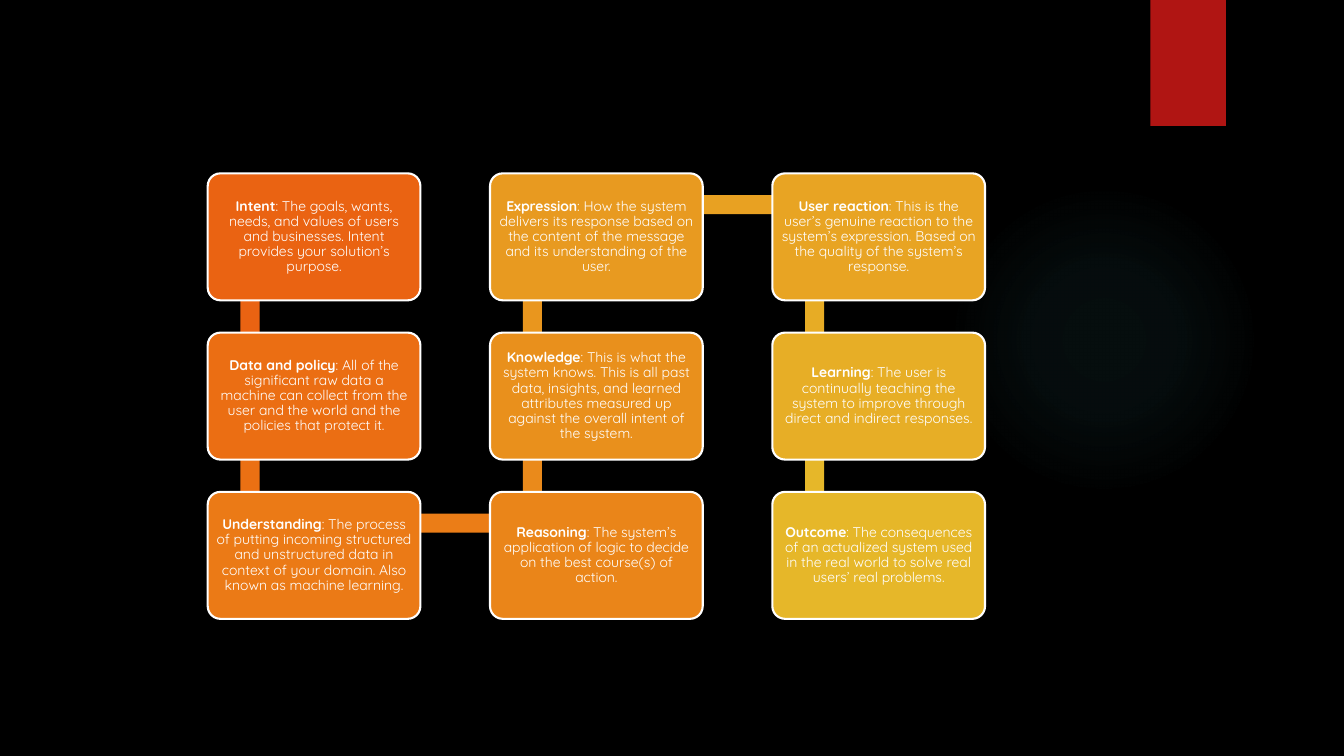
from lxml import etree
from pptx import Presentation
from pptx.dml.color import RGBColor
from pptx.enum.shapes import MSO_SHAPE as Shape
from pptx.enum.text import MSO_ANCHOR as Anchor, PP_ALIGN as Align
from pptx.oxml.ns import qn
from pptx.util import Inches, Pt

BLACK = RGBColor(0x00, 0x00, 0x00)
WHITE = RGBColor(0xFF, 0xFF, 0xFF)
RED = RGBColor(0xB0, 0x15, 0x13)
TEAL = RGBColor(0x50, 0xB9, 0xC1)
CARD_COLOURS = [RGBColor.from_string(code) for code in (
    "EA6312", "EB6E13", "EB7A16", "EA8519", "E9901C",
    "E89A20", "E8A423", "E7AE26", "E6B729")]
LINK_COLOURS = [RGBColor.from_string(code) for code in (
    "EA6312", "EB7013", "EB7D17", "EA8A1B",
    "E9961E", "E8A122", "E7AC25", "E6B729")]

FONT = "Quicksand"
ROWS = 3
GRID_LEFT, GRID_TOP = 2.06, 1.72
COLUMN_STEP, ROW_STEP = 2.8, 1.58
CARD_WIDTH, CARD_HEIGHT = 2.11, 1.26
ANCHOR_X, ANCHOR_Y = 0.42, 0.31
LINK_WIDTH = 0.19

STAGES = [
    ("Intent", "The goals, wants, needs, and values of users and businesses. "
     "Intent provides your solution’s purpose."),
    ("Data and policy", "All of the significant raw data a machine can collect "
     "from the user and the world and the policies that protect it."),
    ("Understanding", "The process of putting incoming structured and unstructured "
     "data in context of your domain. Also known as machine learning."),
    ("Reasoning", "The system’s application of logic to decide on the best "
     "course(s) of action."),
    ("Knowledge", "This is what the system knows. This is all past data, insights, "
     "and learned attributes measured up against the overall intent of the system."),
    ("Expression", "How the system delivers its response based on the content of "
     "the message and its understanding of the user."),
    ("User reaction", "This is the user’s genuine reaction to the system’s "
     "expression. Based on the quality of the system’s response."),
    ("Learning", "The user is continually teaching the system to improve through "
     "direct and indirect responses."),
    ("Outcome", "The consequences of an actualized system used in the real world "
     "to solve real users’ real problems."),
]


def add_block(slide, kind, left, top, width, height, colour):
    block = slide.shapes.add_shape(
        kind, Inches(left), Inches(top), Inches(width), Inches(height))
    block.shadow.inherit = False
    block.fill.solid()
    block.fill.fore_color.rgb = colour
    block.line.fill.background()
    return block


def add_run(paragraph, text, *, size=10, bold=False, colour=WHITE):
    run = paragraph.add_run()
    run.text = text
    run.font.name = FONT
    run.font.size = Pt(size)
    run.font.bold = bold
    run.font.color.rgb = colour


def add_glow(slide):
    glow = add_block(slide, Shape.OVAL, 9.41, 1.83, 3.08, 3.08, TEAL)
    solid = glow.fill.fore_color and glow._element.spPr.find(qn("a:solidFill"))
    gradient = etree.Element(qn("a:gradFill"), rotWithShape="1")
    stops = etree.SubElement(gradient, qn("a:gsLst"))
    for position, opacity in ((0, 7), (36, 6), (69, 0)):
        stop = etree.SubElement(stops, qn("a:gs"), pos=str(position * 1000))
        tint = etree.SubElement(stop, qn("a:srgbClr"), val=str(TEAL))
        etree.SubElement(tint, qn("a:alpha"), val=str(opacity * 1000))
    circle = etree.SubElement(gradient, qn("a:path"), path="circle")
    etree.SubElement(circle, qn("a:fillToRect"),
                     l="50000", t="50000", r="50000", b="50000")
    glow._element.spPr.replace(solid, gradient)


def card_corner(index):
    column, step = divmod(index, ROWS)
    row = ROWS - 1 - step if column % 2 else step
    return GRID_LEFT + column * COLUMN_STEP, GRID_TOP + row * ROW_STEP


def add_link(slide, start, end, colour):
    left = min(start[0], end[0]) + ANCHOR_X
    top = min(start[1], end[1]) + ANCHOR_Y
    if start[0] == end[0]:
        add_block(slide, Shape.RECTANGLE, left - LINK_WIDTH / 2, top,
                  LINK_WIDTH, ROW_STEP, colour)
    else:
        add_block(slide, Shape.RECTANGLE, left, top - LINK_WIDTH / 2,
                  COLUMN_STEP, LINK_WIDTH, colour)


def add_card(slide, corner, name, meaning, colour):
    card = add_block(slide, Shape.ROUNDED_RECTANGLE, *corner,
                     CARD_WIDTH, CARD_HEIGHT, colour)
    card.adjustments[0] = 0.1
    card.line.color.rgb = WHITE
    card.line.width = Pt(1.5)
    frame = card.text_frame
    frame.word_wrap = True
    frame.vertical_anchor = Anchor.MIDDLE
    frame.margin_left = frame.margin_right = Inches(0.04)
    frame.margin_top = frame.margin_bottom = Inches(0.04)
    paragraph = frame.paragraphs[0]
    paragraph.alignment = Align.CENTER
    paragraph.line_spacing = 0.9
    add_run(paragraph, name, bold=True)
    add_run(paragraph, f": {meaning}")


def main():
    deck = Presentation()
    deck.slide_width, deck.slide_height = Inches(13.33), Inches(7.5)
    slide = deck.slides.add_slide(deck.slide_layouts[6])
    slide.background.fill.solid()
    slide.background.fill.fore_color.rgb = BLACK

    add_glow(slide)
    add_block(slide, Shape.RECTANGLE, 11.41, 0, 0.75, 1.25, RED)

    corners = [card_corner(index) for index in range(len(STAGES))]
    for start, end, colour in zip(corners, corners[1:], LINK_COLOURS):
        add_link(slide, start, end, colour)
    for corner, (name, meaning), colour in zip(corners, STAGES, CARD_COLOURS):
        add_card(slide, corner, name, meaning, colour)

    deck.save("out.pptx")


if __name__ == "__main__":
    main()
